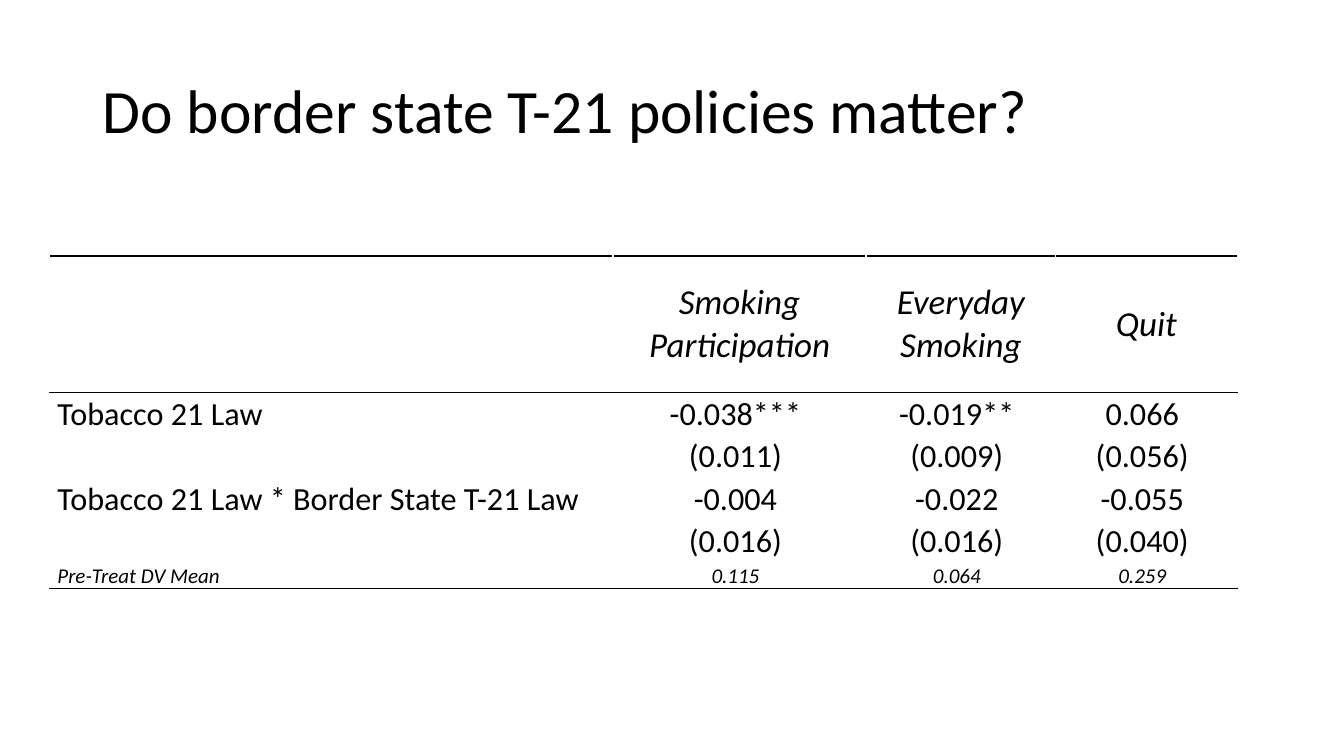
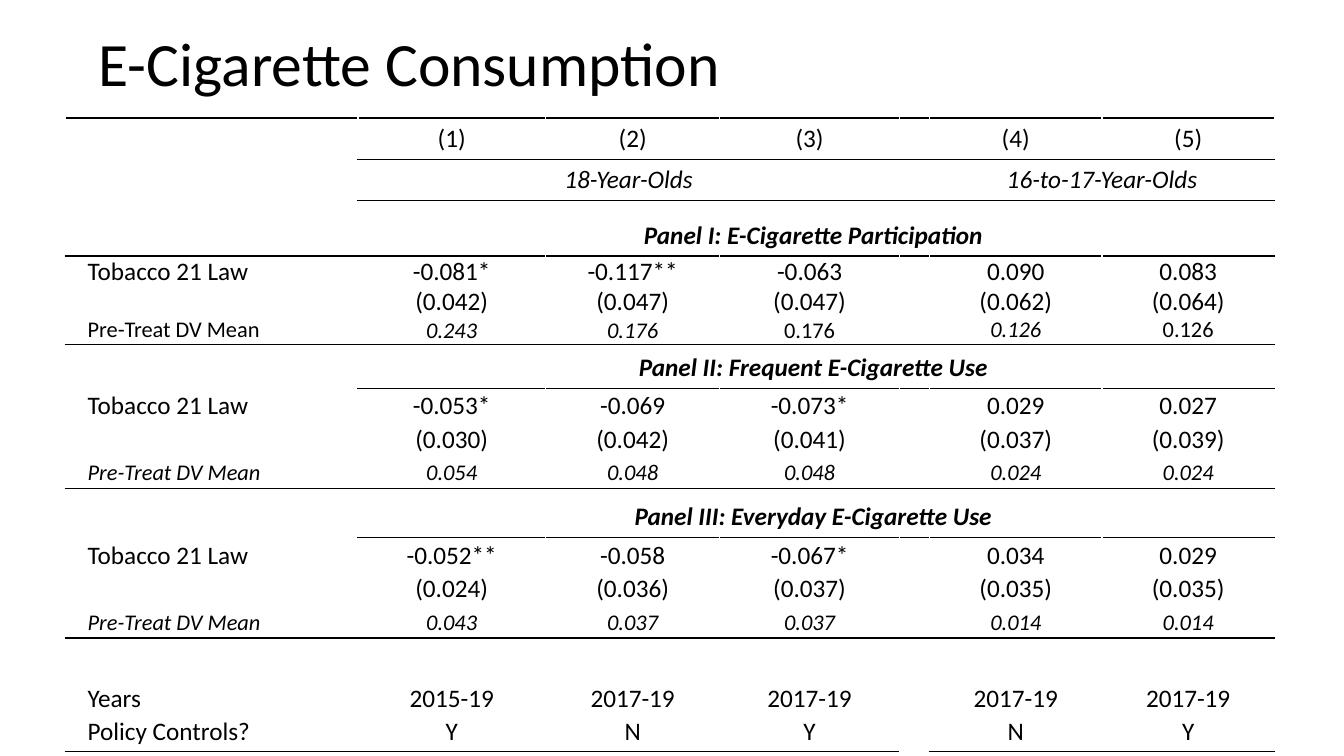
"""Build two slides of regression tables on Tobacco 21 laws."""
from dataclasses import dataclass, replace

from lxml.etree import SubElement
from pptx import Presentation
from pptx.dml.color import RGBColor
from pptx.enum.text import MSO_ANCHOR, PP_ALIGN
from pptx.oxml.ns import qn
from pptx.util import Inches, Pt

FONT = "Calibri"
BLACK = RGBColor(0, 0, 0)
WHITE = RGBColor(255, 255, 255)


@dataclass(frozen=True)
class Look:
    size: int
    bold: bool = False
    italic: bool = False
    anchor: MSO_ANCHOR = MSO_ANCHOR.MIDDLE
    leading: float = 1.0
    pad: float = 0.0
    right: float = 0.1


@dataclass(frozen=True)
class Row:
    height: float
    cells: tuple[str, ...]
    look: Look
    upright: tuple[int, ...] = ()
    last: Look | None = None


@dataclass(frozen=True)
class Grid:
    left: float
    top: float
    widths: tuple[float, ...]
    rows: tuple[Row, ...]
    rules: dict[int, int]
    spans: tuple[tuple[int, int, int, int], ...]
    indent: float
    side: float


def write(para, text: str, *, size: int, bold: bool = False, italic: bool = False,
          align: PP_ALIGN = PP_ALIGN.LEFT, leading: float = 1.0) -> None:
    para.alignment = align
    para.line_spacing = leading
    if not text:
        para._p.get_or_add_endParaRPr().set("sz", "1000")
        return
    run = para.add_run()
    run.text = text
    font = run.font
    font.name, font.size = FONT, Pt(size)
    font.bold, font.italic = bold, italic
    font.color.rgb = BLACK


def add_title(slide, text: str, left: float, top: float, width: float, height: float) -> None:
    box = slide.shapes.add_textbox(Inches(left), Inches(top), Inches(width), Inches(height))
    frame = box.text_frame
    frame.word_wrap = True
    frame.vertical_anchor = MSO_ANCHOR.MIDDLE
    write(frame.paragraphs[0], text, size=44, leading=0.9)


def edge(cell, side: str, color: RGBColor) -> None:
    line = SubElement(cell._tc.get_or_add_tcPr(), qn(f"a:ln{side}"), w=str(Pt(1)))
    fill = SubElement(line, qn("a:solidFill"))
    SubElement(fill, qn("a:srgbClr"), val=str(color))


def fill_text(cell, text: str, row: Row, c: int) -> None:
    frame = cell.text_frame
    parts = text.split("\n")
    for n, part in enumerate(parts):
        para = frame.add_paragraph() if n else frame.paragraphs[0]
        ends = row.last and n and n == len(parts) - 1
        look = row.last if ends else row.look
        write(para, part, size=look.size, bold=look.bold,
              italic=look.italic and c not in row.upright,
              align=PP_ALIGN.CENTER if c else PP_ALIGN.LEFT, leading=look.leading)


def add_grid(slide, grid: Grid) -> None:
    rows, widths = grid.rows, grid.widths
    shape = slide.shapes.add_table(
        len(rows), len(widths), Inches(grid.left), Inches(grid.top),
        Inches(sum(widths)), Inches(sum(row.height for row in rows)))
    table = shape.table
    table.first_row = table.horz_banding = False
    for column, width in zip(table.columns, widths):
        column.width = Inches(width)

    def tint(r: int, c: int) -> RGBColor:
        return BLACK if c >= grid.rules.get(r, len(widths)) else WHITE

    for r, row in enumerate(rows):
        look = row.look
        table.rows[r].height = Inches(row.height)
        for c, text in enumerate(row.cells):
            cell = table.cell(r, c)
            cell.margin_left = Inches(grid.side if c else grid.indent)
            cell.margin_right = Inches(look.right)
            cell.margin_top = cell.margin_bottom = Inches(look.pad)
            cell.vertical_anchor = look.anchor
            for side, color in (("L", WHITE), ("R", WHITE),
                                ("T", tint(r, c)), ("B", tint(r + 1, c))):
                edge(cell, side, color)
            cell.fill.background()
            fill_text(cell, text, row, c)
    for top, left, bottom, right in grid.spans:
        table.cell(top, left).merge(table.cell(bottom, right))


def border_grid() -> Grid:
    head = Look(25, italic=True, pad=0.05, right=0.07)
    body = Look(23, anchor=MSO_ANCHOR.TOP, leading=1.07, right=0.15)
    mean = replace(body, size=15, italic=True)
    return Grid(0.49, 2.54, (5.59, 2.51, 1.88, 1.8), (
        Row(1.35, ("", "Smoking Participation", "Everyday Smoking", "Quit"), head),
        Row(0.42, ("Tobacco 21 Law", "-0.038***", "-0.019**", "0.066"), body),
        Row(0.42, ("", "(0.011)", "(0.009)", "(0.056)"), body),
        Row(0.42, ("Tobacco 21 Law * Border State T-21 Law", "-0.004", "-0.022", "-0.055"), body),
        Row(0.42, ("", "(0.016)", "(0.016)", "(0.040)"), body),
        Row(0.26, ("Pre-Treat DV Mean", "0.115", "0.064", "0.259"), mean),
    ), {0: 0, 1: 0, 6: 0}, (), indent=0.08, side=0.07)


def vape_grid() -> Grid:
    head = Look(18, pad=0.05)
    group = replace(head, italic=True)
    panel = replace(group, bold=True, anchor=MSO_ANCHOR.BOTTOM)
    tight = Look(18, anchor=MSO_ANCHOR.TOP)
    small = replace(tight, size=16, italic=True)
    body = Look(18, leading=1.07)
    mean = replace(body, size=16, italic=True)
    law, dv = "Tobacco 21 Law", "Pre-Treat DV Mean"

    def line(height: float, label: str, adult: tuple[str, str, str], teen: tuple[str, str],
             look: Look, upright: tuple[int, ...] = (), last: Look | None = None) -> Row:
        return Row(height, (label, "", *adult, "", *teen), look, upright, last)

    def banner(height: float, text: str) -> Row:
        return line(height, "", (text, "", ""), ("", ""), panel)

    none = ("", "", "")
    stacks = ("-0.081*\n(0.042)\n0.243", "-0.117**\n(0.047)\n0.176", "-0.063\n(0.047)\n0.176")
    rows = (
        line(0.41, "", ("(1)", "(2)", "(3)"), ("(4)", "(5)"), head),
        line(0.41, "", ("18-Year-Olds", "", ""), ("16-to-17-Year-Olds", ""), group),
        banner(0.55, "Panel I: E-Cigarette Participation "),
        line(0.3, law, stacks, ("0.090", "0.083"), tight, (4,), small),
        line(0.3, "", none, ("(0.062)", "(0.064)"), tight),
        line(0.28, dv, none, ("0.126", "0.126"), small, (0, 7)),
        banner(0.43, "Panel II: Frequent E-Cigarette Use "),
        line(0.34, law, ("-0.053*", "-0.069", "-0.073*"), ("0.029", "0.027"), body),
        line(0.33, "", ("(0.030)", "(0.042)", "(0.041)"), ("(0.037)", "(0.039)"), body),
        line(0.33, dv, ("0.054", "0.048", "0.048"), ("0.024", "0.024"), mean),
        banner(0.48, "Panel III: Everyday E-Cigarette Use "),
        line(0.34, law, ("-0.052**", "-0.058", "-0.067*"), ("0.034", "0.029"), body),
        line(0.33, "", ("(0.024)", "(0.036)", "(0.037)"), ("(0.035)", "(0.035)"), body),
        line(0.33, dv, ("0.043", "0.037", "0.037"), ("0.014", "0.014"), mean),
        line(0.42, "", none, ("", ""), body),
        line(0.34, "Years", ("2015-19", "2017-19", "2017-19"), ("2017-19", "2017-19"), body),
        line(0.37, "Policy Controls?", ("Y", "N", "Y"), ("N", "Y"),
             replace(body, anchor=MSO_ANCHOR.TOP)),
    )
    labels = tuple((r, 0, r, 1) for r in range(len(rows)) if r != 1)
    banners = tuple((r, 2, r, 7) for r in (2, 6, 10))
    stacked = tuple((3, c, 5, c) for c in range(2, 6))
    gaps = ((7, 5, 9, 5), (11, 5, 13, 5), (15, 5, 16, 5))
    groups = ((1, 2, 1, 4), (1, 6, 1, 7))
    return Grid(0.65, 1.17, (1.45, 1.45, 1.86, 1.73, 1.78, 0.3, 1.71, 1.71), rows,
                {0: 0, 1: 2, 2: 2, 3: 0, 6: 0, 7: 2, 10: 0, 11: 2, 14: 0, 17: 0},
                labels + banners + stacked + gaps + groups, indent=0.22, side=0.1)


def main() -> None:
    deck = Presentation()
    deck.slide_width, deck.slide_height = Inches(13.33), Inches(7.5)
    blank = deck.slide_layouts[6]
    slide = deck.slides.add_slide(blank)
    add_title(slide, "Do border state T-21 policies matter?", 0.92, 0.4, 11.5, 1.45)
    add_grid(slide, border_grid())
    slide = deck.slides.add_slide(blank)
    add_title(slide, "E-Cigarette Consumption", 0.88, 0.25, 11.54, 0.83)
    add_grid(slide, vape_grid())
    deck.save("out.pptx")


if __name__ == "__main__":
    main()
